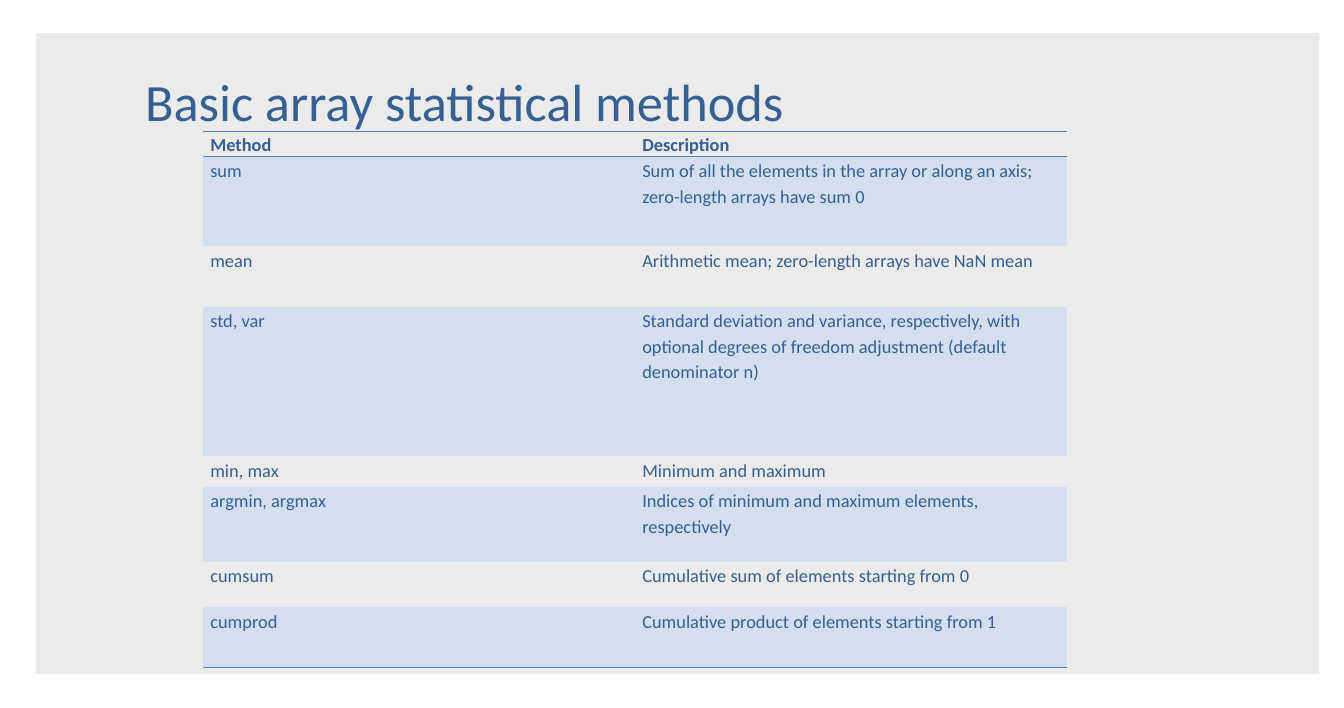
from lxml import etree
from pptx import Presentation
from pptx.dml.color import RGBColor
from pptx.enum.shapes import MSO_SHAPE
from pptx.oxml.ns import qn
from pptx.util import Inches, Pt

RECTANGLE = MSO_SHAPE.RECTANGLE
FONT = "Calibri"
RULE_COLOR = "4F81BD"
BAND_COLOR = "D3DFEE"
ROW_HEIGHTS = [0.26, 0.95, 0.64, 1.59, 0.32, 0.8, 0.48, 0.64]
METHODS = [
    ("Method", "Description"),
    ("sum", "Sum of all the elements in the array or along an axis; "
            "zero-length arrays have sum 0"),
    ("mean", "Arithmetic mean; zero-length arrays have NaN mean"),
    ("std, var", "Standard deviation and variance, respectively, with optional "
                 "degrees of freedom adjustment (default denominator n)"),
    ("min, max", "Minimum and maximum"),
    ("argmin, argmax", "Indices of minimum and maximum elements, respectively"),
    ("cumsum", "Cumulative sum of elements starting from 0"),
    ("cumprod", "Cumulative product of elements starting from 1"),
]


def color(value):
    return RGBColor.from_string(value)


def format_text(paragraph, size, text_color, bold=False):
    for run in paragraph.runs:
        run.font.name = FONT
        run.font.size = Pt(size)
        run.font.bold = bold
        run.font.color.rgb = color(text_color)


def set_borders(cell, ruled_sides):
    properties = cell._tc.get_or_add_tcPr()
    for position, side in enumerate("LRTB"):
        line = etree.Element(qn(f"a:ln{side}"), w=str(Pt(1)))
        if side in ruled_sides:
            fill = etree.SubElement(line, qn("a:solidFill"))
            etree.SubElement(fill, qn("a:srgbClr"), val=RULE_COLOR)
        else:
            etree.SubElement(line, qn("a:noFill"))
        properties.insert(position, line)


def add_panel(slide, left, top, width, height):
    panel = slide.shapes.add_shape(
        RECTANGLE, Inches(left), Inches(top), Inches(width), Inches(height))
    panel.shadow.inherit = False
    panel.fill.solid()
    panel.fill.fore_color.rgb = color("000000")
    fill_color = panel._element.spPr.find(f".//{qn('a:srgbClr')}")
    etree.SubElement(fill_color, qn("a:alpha"), val="8000")
    panel.line.fill.background()


def add_title(slide, left, top, width, height):
    title = slide.shapes.add_textbox(
        Inches(left), Inches(top), Inches(width), Inches(height))
    text_frame = title.text_frame
    text_frame.word_wrap = True
    text_frame.text = "Basic array statistical methods"
    format_text(text_frame.paragraphs[0], 40, "366092")


def fill_cell(cell, text, row_index):
    cell.margin_left = cell.margin_right = Inches(0.08)
    cell.margin_top = cell.margin_bottom = 0
    cell.text_frame.text = text
    paragraph = cell.text_frame.paragraphs[0]
    paragraph.line_spacing = 1.15
    format_text(paragraph, 14, "365F91", bold=row_index == 0)
    if row_index % 2:
        cell.fill.solid()
        cell.fill.fore_color.rgb = color(BAND_COLOR)
    else:
        cell.fill.background()
    ruled_sides = {0: "TB", 1: "T", len(METHODS) - 1: "B"}
    set_borders(cell, ruled_sides.get(row_index, ""))


def add_methods_table(slide, left, top, width):
    table = slide.shapes.add_table(
        len(METHODS), 2, Inches(left), Inches(top),
        Inches(width), Inches(sum(ROW_HEIGHTS))).table
    table.first_row = False
    table.horz_banding = False
    for column in table.columns:
        column.width = Inches(width / 2)
    for row_index, texts in enumerate(METHODS):
        row = table.rows[row_index]
        row.height = Inches(ROW_HEIGHTS[row_index])
        for cell, text in zip(row.cells, texts):
            fill_cell(cell, text, row_index)


def main():
    presentation = Presentation()
    presentation.slide_width = Inches(14.25)
    presentation.slide_height = Inches(7.51)
    slide = presentation.slides.add_slide(presentation.slide_layouts[6])
    add_panel(slide, 0.38, 0.35, 13.61, 6.8)
    add_methods_table(slide, 2.15, 1.39, 9.16)
    add_title(slide, 1.44, 0.68, 8.99, 0.77)
    presentation.save("out.pptx")


if __name__ == "__main__":
    main()
